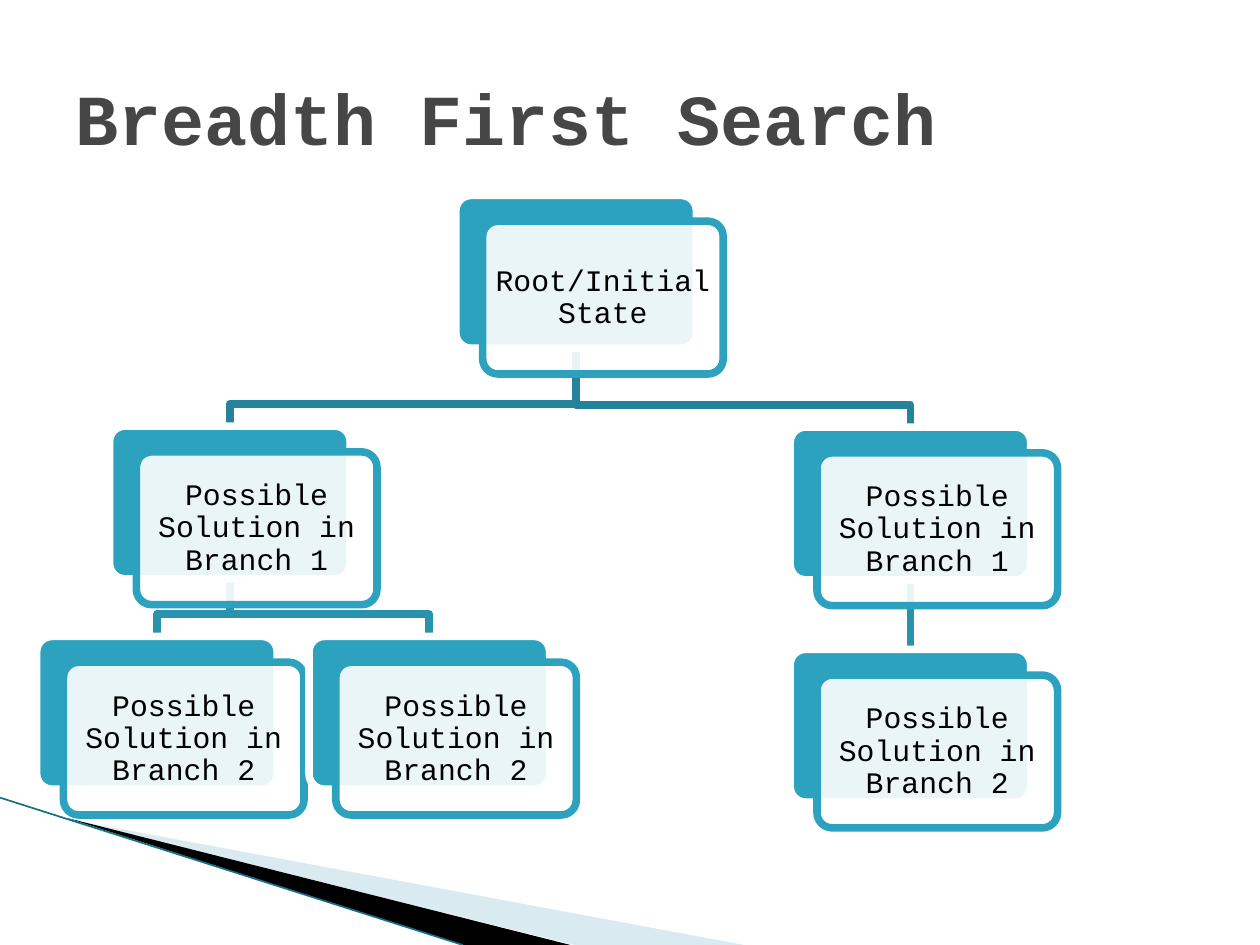
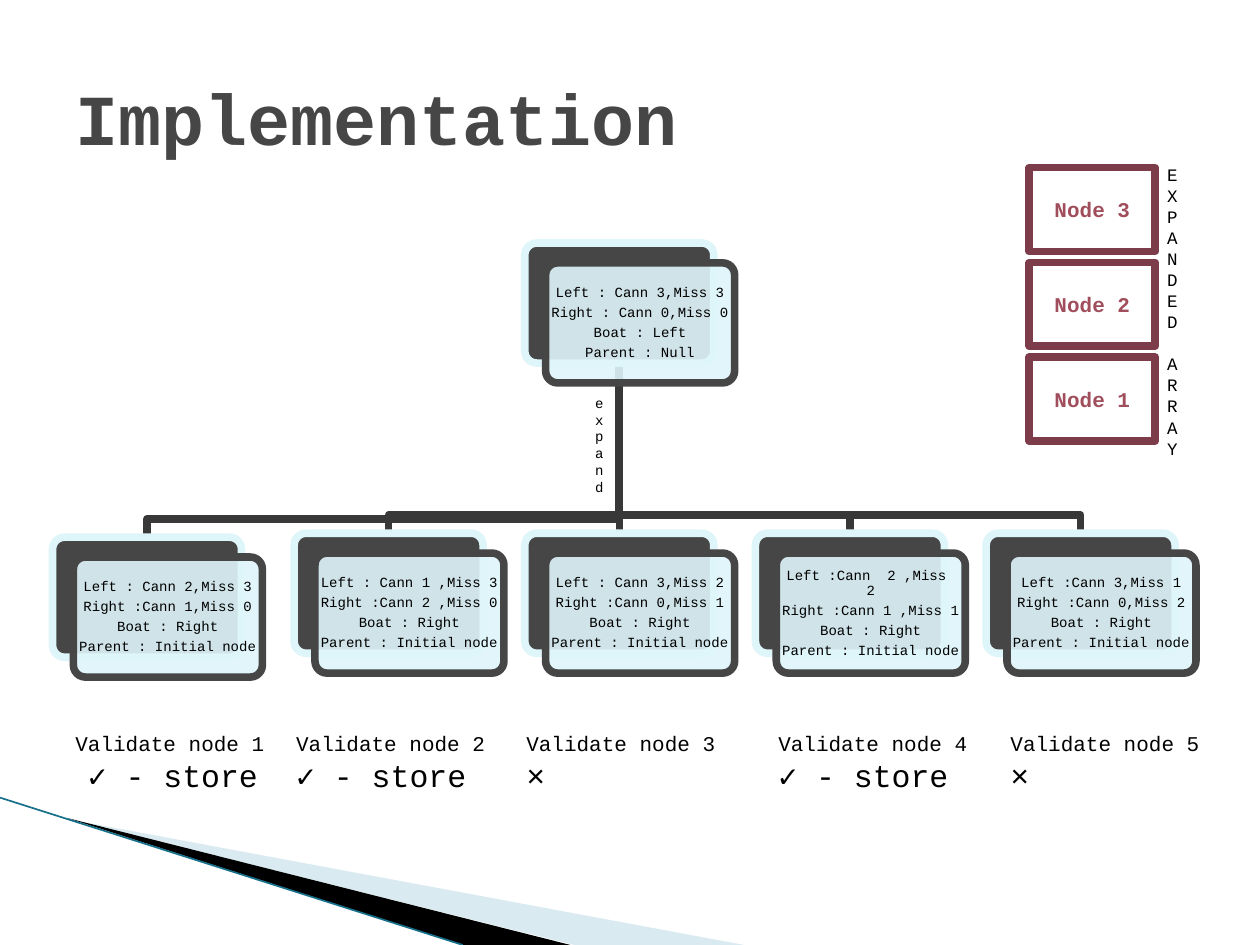
from lxml import etree
from pptx import Presentation
from pptx import util as u
from pptx.dml.color import RGBColor
from pptx.enum import shapes, text
from pptx.oxml import ns

BLACK = RGBColor(0x00, 0x00, 0x00)
WHITE = RGBColor(0xFF, 0xFF, 0xFF)
GREY = RGBColor(0x46, 0x46, 0x46)
COAL = RGBColor(0x38, 0x38, 0x38)
TEAL = RGBColor(0x2D, 0xA2, 0xBF)
DEEP = RGBColor(0x24, 0x82, 0x99)
MID = RGBColor(0x29, 0x93, 0xAD)
ICE = RGBColor(0xDE, 0xF5, 0xFA)
PALE = RGBColor(0xA0, 0xCB, 0xDC)
EDGE = RGBColor(0x17, 0x70, 0x8A)
WINE = RGBColor(0x7D, 0x3C, 0x4A)
ROSE = RGBColor(0xA1, 0x4E, 0x5C)
FONT = "Courier New"
THICK = 4.33
ROUND = shapes.MSO_SHAPE.ROUNDED_RECTANGLE
LEFT, MIDDLE = text.PP_ALIGN.LEFT, text.PP_ALIGN.CENTER
TOP, CENTRE = text.MSO_ANCHOR.TOP, text.MSO_ANCHOR.MIDDLE


def paint(shape, fill=None, line=None, alpha=None, width=THICK):
    """Set fill, opacity in percent and outline, and drop the shadow."""
    if fill is None:
        shape.fill.background()
    else:
        shape.fill.solid()
        shape.fill.fore_color.rgb = fill
    if alpha:
        tint = shape.fill._xPr.find(".//" + ns.qn("a:srgbClr"))
        etree.SubElement(tint, ns.qn("a:alpha")).set("val", str(alpha * 1000))
    if line is None:
        shape.line.fill.background()
    else:
        shape.line.color.rgb = line
        shape.line.width = u.Pt(width)
    shape.shadow.inherit = False


def write(shape, words, sizes, color=BLACK, bold=False, align=LEFT,
          anchor=TOP, inset=(0.25, 0.13), pitch=None, after=None):
    """Fill a shape with one paragraph a line; the last size repeats."""
    frame = shape.text_frame
    frame.word_wrap = True
    frame.vertical_anchor = anchor
    frame.margin_left = frame.margin_right = u.Cm(inset[0])
    frame.margin_top = frame.margin_bottom = u.Cm(inset[1])
    for i, row in enumerate(words.split("\n")):
        para = frame.paragraphs[0] if i == 0 else frame.add_paragraph()
        para.alignment = align
        size = sizes[min(i, len(sizes) - 1)]
        if pitch:
            para.line_spacing = pitch
        if after:
            para.space_after = u.Pt(after * size)
        run = para.add_run()
        run.text = row
        run.font.name = FONT
        run.font.size = u.Pt(size)
        run.font.bold = bold
        run.font.color.rgb = color
    return frame


deck = Presentation()
deck.slide_width, deck.slide_height = u.Cm(25.4), u.Cm(19.05)

# Each node: left, top, parent's index, link colour, words
first = "Possible Solution in Branch 1"
second = "Possible Solution in Branch 2"
search = [
    (9.19, 3.94, None, None, "Root/Initial State"),
    (2.21, 8.59, 0, DEEP, first),
    (0.74, 12.83, 1, MID, second),
    (6.23, 12.83, 1, MID, second),
    (15.93, 8.61, 0, DEEP, first),
    (15.93, 13.09, 4, MID, second),
]
states = [
    ("Left : Cann 2,Miss 3", "Right :Cann 1,Miss 0"),
    ("Left : Cann 1 ,Miss 3", "Right :Cann 2 ,Miss 0"),
    ("Left : Cann 3,Miss 2", "Right :Cann 0,Miss 1"),
    ("Left :Cann  2 ,Miss  2", "Right :Cann 1 ,Miss 1"),
    ("Left :Cann 3,Miss 1", "Right :Cann 0,Miss 2"),
]
moves = [(10.58, 4.9, None, None,
          "Left : Cann 3,Miss 3\nRight : Cann 0,Miss 0\n"
          "Boat : Left\nParent : Null")]
for i, (near, far) in enumerate(states):
    x, y = (5.93 + 4.65 * (i - 1), 10.75) if i else (1.06, 10.83)
    moves.append((x, y, 0, COAL,
                  f"{near}\n{far}\nBoat : Right\nParent : Initial node"))

# Each tree: title, nodes, node size, front offset, bend, colours, text
trees = [
    ("Breadth First Search", search, (4.85, 3.08), (0.54, 0.52), 0.45,
     (TEAL, WHITE), 17, (0.08, 0.18)),
    ("Implementation", moves, (3.81, 2.42), (0.42, 0.4), 0.37,
     (GREY, ICE), 8, (0, 0)),
]

for title, nodes, (w, h), (dx, dy), bend, (dark, light), size, inset in trees:
    slide = deck.slides.add_slide(deck.slide_layouts[6])
    draw = slide.shapes

    # Corner band
    for points, fill, alpha in [
        ([(1.4, 16.52), (15, 19.05), (11.58, 19.05)], PALE, 40),
        ([(1.35, 16.49), (11.5, 19.05), (9.33, 19.05)], BLACK, None),
    ]:
        path = [(u.Cm(x), u.Cm(y)) for x, y in points]
        pen = draw.build_freeform(*path[0])
        pen.add_line_segments(path[1:], close=True)
        paint(pen.convert_to_shape(), fill, alpha=alpha)
    lines = [((0, 16.08), (9.33, 19.05), EDGE, 0.95)]

    head = draw.add_textbox(u.Cm(1.27), u.Cm(0.76), u.Cm(22.86), u.Cm(3.18))
    write(head, title, [41], color=GREY, bold=True, anchor=CENTRE)

    # Links run from the parent's bottom to the child's top
    for x, y, parent, color, _ in nodes:
        if parent is None:
            continue
        start = (nodes[parent][0] + w / 2, nodes[parent][1] + h)
        end = (x + w / 2, y)
        if start[0] == end[0]:
            lines.append((start, end, color, THICK))
            continue
        path = [start, (start[0], y - bend), (end[0], y - bend), end]
        path = [(u.Cm(a), u.Cm(b)) for a, b in path]
        pen = draw.build_freeform(*path[0])
        pen.add_line_segments(path[1:], close=False)
        paint(pen.convert_to_shape(), line=color)
    for start, end, color, width in lines:
        line = draw.add_connector(shapes.MSO_CONNECTOR.STRAIGHT,
                                  *[u.Cm(v) for v in start + end])
        line.line.color.rgb = color
        line.line.width = u.Pt(width)
        etree.SubElement(line._element.spPr, ns.qn("a:effectLst"))

    # Each node is a dark card behind a pale one
    for x, y, _, _, words in nodes:
        back = draw.add_shape(ROUND, u.Cm(x), u.Cm(y), u.Cm(w), u.Cm(h))
        front = draw.add_shape(ROUND, u.Cm(x + dx), u.Cm(y + dy),
                               u.Cm(w), u.Cm(h))
        back.adjustments[0] = front.adjustments[0] = 0.1
        paint(back, dark, light)
        paint(front, light, dark, alpha=90)
        write(front, words, [size], align=MIDDLE, anchor=CENTRE,
              inset=inset, pitch=0.9, after=0.35)

# Labels on the second slide
label = draw.add_textbox(u.Cm(11.86), u.Cm(7.82), u.Cm(0.43), u.Cm(2.31))
write(label, "expand", [8], inset=(0.14, 0.13))

store, fail = "✓ - store", "×"
marks = [(1.27, store), (5.72, store), (10.36, fail),
         (15.44, store), (20.12, fail)]
for i, (x, mark) in enumerate(marks):
    check = draw.add_textbox(u.Cm(x), u.Cm(14.6), u.Cm(4.37), u.Cm(1.55))
    frame = write(check, f"Validate node {i + 1}\n{mark}", [12, 18])
    if i == 0:
        frame.paragraphs[1]._p.get_or_add_pPr().set("marL", str(u.Cm(0.25)))

# Stack of expanded nodes
for i in range(3):
    cell = draw.add_shape(shapes.MSO_SHAPE.FLOWCHART_PROCESS, u.Cm(20.75),
                          u.Cm(7.2 - 1.91 * i), u.Cm(2.54), u.Cm(1.69))
    paint(cell, WHITE, WINE)
    write(cell, f"Node {i + 1}", [12], color=ROSE, bold=True,
          align=MIDDLE, anchor=CENTRE)
side = draw.add_textbox(u.Cm(23.28), u.Cm(3.18), u.Cm(1.07), u.Cm(6.68))
frame = write(side, "\n".join("EXPANDEDARRAY"), [10])
frame.paragraphs[len("EXPANDED")].space_before = u.Pt(12)

deck.save("out.pptx")
